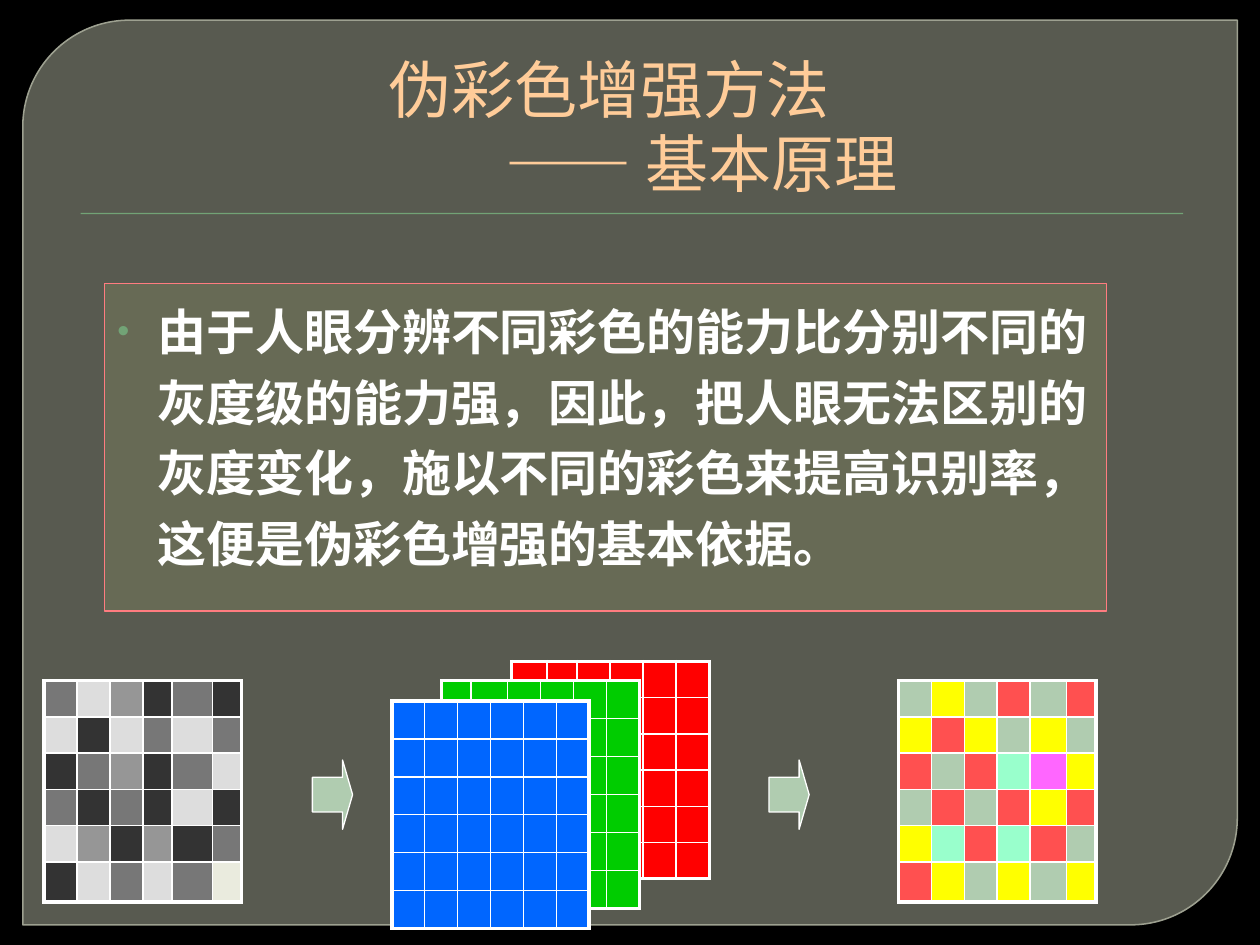
"""Builds the slide on the principle of pseudo-colour enhancement."""
from lxml.etree import SubElement
from pptx import Presentation
from pptx.dml.color import RGBColor
from pptx.enum.shapes import MSO_SHAPE
from pptx.enum.text import MSO_ANCHOR, MSO_AUTO_SIZE, PP_ALIGN
from pptx.oxml.ns import qn
from pptx.util import Pt

PANEL = MSO_SHAPE.ROUND_2_DIAG_RECTANGLE
RECT = MSO_SHAPE.RECTANGLE
ARROW = MSO_SHAPE.RIGHT_ARROW
TOP, MIDDLE = MSO_ANCHOR.TOP, MSO_ANCHOR.MIDDLE
FIXED = MSO_AUTO_SIZE.NONE
LEFT, CENTER = PP_ALIGN.LEFT, PP_ALIGN.CENTER

COLORS = {
    "back": "000000", "panel": "888B7B", "edge": "9DA090", "rule": "72A376",
    "title": "FFCC99", "box": "676A55", "frame": "FF7C80", "white": "FFFFFF",
    "m": "777777", "l": "DDDDDD", "n": "969696", "d": "333333", "i": "EAEBDE",
    "s": "B0CCB0", "y": "FFFF00", "c": "FF5050", "a": "99FFCC", "p": "FF66FF",
    "r": "FF0000", "g": "00CC00", "b": "0066FF",
}
GRAY = ["mlndmd", "ldlmlm", "dmndml", "mdmdld", "lndndm", "dlmlmi"]
MIXED = ["syscsc", "ycysys", "cscapy", "scscyc", "yacacs", "cysysy"]
THICK, THIN = 2.25, 1


def rgb(key):
    """Return the colour held under a key."""
    return RGBColor.from_string(COLORS[key])


def put(para, text, font, size, color, bold=False, align=LEFT, space=None,
        left=0, first=0, bullet=None):
    """Write text into a paragraph with its format."""
    props = para._p.get_or_add_pPr()
    props.set("marL", str(Pt(left)))
    props.set("indent", str(Pt(first)))
    para.alignment = align
    para.space_before = para.space_after = Pt(0)
    para.line_spacing = space
    if bullet:
        tint = SubElement(props, qn("a:buClr"))
        SubElement(tint, qn("a:srgbClr"), val=COLORS[bullet])
        SubElement(props, qn("a:buSzPct"), val="70000")
        SubElement(props, qn("a:buFont"), typeface="Arial")
        SubElement(props, qn("a:buChar"), char="•")
    run = para.add_run()
    run.text = text
    face = run.font
    face.size, face.bold, face.name = Pt(size), bold, font
    face.color.rgb = rgb(color)
    SubElement(run._r.get_or_add_rPr(), qn("a:ea"), typeface=font)


class Deck:
    """Holds the style and the current slide."""

    def __init__(self):
        self.show = Presentation()
        self.show.slide_width, self.show.slide_height = Pt(720), Pt(540)
        self.slide = self.show.slides.add_slide(self.show.slide_layouts[1])
        self.shapes = self.slide.shapes
        fill = self.slide.background.fill
        fill.solid()
        fill.fore_color.rgb = rgb("back")

    def paint(self, item, fill, line=None, width=0.75):
        """Set the fill and outline of a shape."""
        item.fill.solid()
        item.fill.fore_color.rgb = rgb(fill)
        if line:
            item.line.color.rgb = rgb(line)
            item.line.width = Pt(width)
        else:
            item.line.fill.background()

    def shape(self, kind, box, fill, line=None, width=0.75, adjust=()):
        """Add a preset shape."""
        item = self.shapes.add_shape(kind, *map(Pt, box))
        item.shadow.inherit = False
        for pos, value in enumerate(adjust):
            item.adjustments[pos] = value
        self.paint(item, fill, line, width)
        return item

    def panel(self, box):
        """Add the translucent panel behind everything else."""
        item = self.shape(PANEL, box, "panel", "edge", 0.87, (0.118, 0))
        tint = item._element.spPr.find(qn("a:solidFill"))[0]
        SubElement(tint, qn("a:alpha"), val="65000")
        self.shapes._spTree.insert(2, item._element)

    def holder(self, item, box, anchor):
        """Move a placeholder and return its text frame."""
        item.left, item.top, item.width, item.height = map(Pt, box)
        frame = item.text_frame
        frame.word_wrap = True
        frame.auto_size = FIXED
        frame.vertical_anchor = anchor
        return frame

    def title(self, box, lines):
        """Fill the title with pairs of text and left indent."""
        frame = self.holder(self.shapes.title, box, MIDDLE)
        frame.margin_bottom = Pt(7.6)
        for pos, (text, left) in enumerate(lines):
            para = frame.add_paragraph() if pos else frame.paragraphs[0]
            put(para, text, "Noto Sans CJK SC", 36, "title", align=CENTER,
                space=Pt(42.3), left=left)

    def body(self, box, text):
        """Fill the framed body."""
        item = self.slide.placeholders[1]
        frame = self.holder(item, box, TOP)
        self.paint(item, "box", "frame")
        put(frame.paragraphs[0], text, "TeX Gyre Bonum", 28, "white",
            bold=True, space=1.2, left=23, first=-23, bullet="rule")

    def grid(self, left, top, cols, rows, keys):
        """Add a table of coloured cells with a thick outer border."""
        item = self.shapes.add_table(len(rows), len(cols), Pt(left), Pt(top),
                                     Pt(sum(cols)), Pt(sum(rows)))
        table = item.table
        table.first_row = table.horz_banding = False
        for col, width in zip(table.columns, cols):
            col.width = Pt(width)
        for row, height in zip(table.rows, rows):
            row.height = Pt(height)
        for y, line in enumerate(keys):
            for x, key in enumerate(line):
                edges = {"L": x == 0, "R": x == len(cols) - 1,
                         "T": y == 0, "B": y == len(rows) - 1}
                self.cell(table.cell(y, x), key, edges)

    def cell(self, cell, key, edges):
        """Colour one empty cell and draw its borders."""
        cell.margin_left = cell.margin_right = 0
        cell.margin_top = cell.margin_bottom = 0
        SubElement(cell.text_frame.paragraphs[0]._p, qn("a:endParaRPr"),
                   sz="800")
        props = cell._tc.get_or_add_tcPr()
        for side, outer in edges.items():
            line = SubElement(props, qn("a:ln" + side),
                              w=str(Pt(THICK if outer else THIN)))
            fill = SubElement(line, qn("a:solidFill"))
            SubElement(fill, qn("a:srgbClr"), val=COLORS["white"])
        cell.fill.solid()
        cell.fill.fore_color.rgb = rgb(key)


def main():
    """Build and save the slide."""
    deck = Deck()
    deck.title((54, 20.2, 584, 108), [("伪彩色增强方法", 4), ("—— 基本原理", 110)])
    deck.body((59.8, 162, 572.4, 187.2),
              "由于人眼分辨不同彩色的能力比分别不同的灰度级的能力强，"
              "因此，把人眼无法区别的灰度变化，施以不同的彩色来提高识别率，"
              "这便是伪彩色增强的基本依据。")
    deck.shape(RECT, (46.1, 121.7, 630, 0.7), "rule")
    deck.panel((13, 11.5, 694, 517))

    short, tall = [20.7] * 5 + [23], [21.7] * 6
    deck.grid(25.2, 389, [18.8, 18.8, 18.8, 16.8, 23, 16.8], short, GRAY)
    layers = [
        ("r", 292.3, 378, [20.2, 17.3] + [18.9] * 4, [20.7] * 6),
        ("g", 252.3, 389, [16.9, 20.9] + [18.8] * 4, tall),
        ("b", 223.9, 400.5, [18.8] * 6, tall),
    ]
    for key, left, top, cols, rows in layers:
        deck.grid(left, top, cols, rows, [key * 6] * 6)
    deck.grid(513.4, 389, [18.8] * 4 + [20.8, 17], short, MIXED)
    for left in (178.5, 439.4):
        deck.shape(ARROW, (left, 434.3, 23, 39.6), "s", "white",
                   adjust=(0.5, 0.25))
    deck.show.save("out.pptx")


if __name__ == "__main__":
    main()
